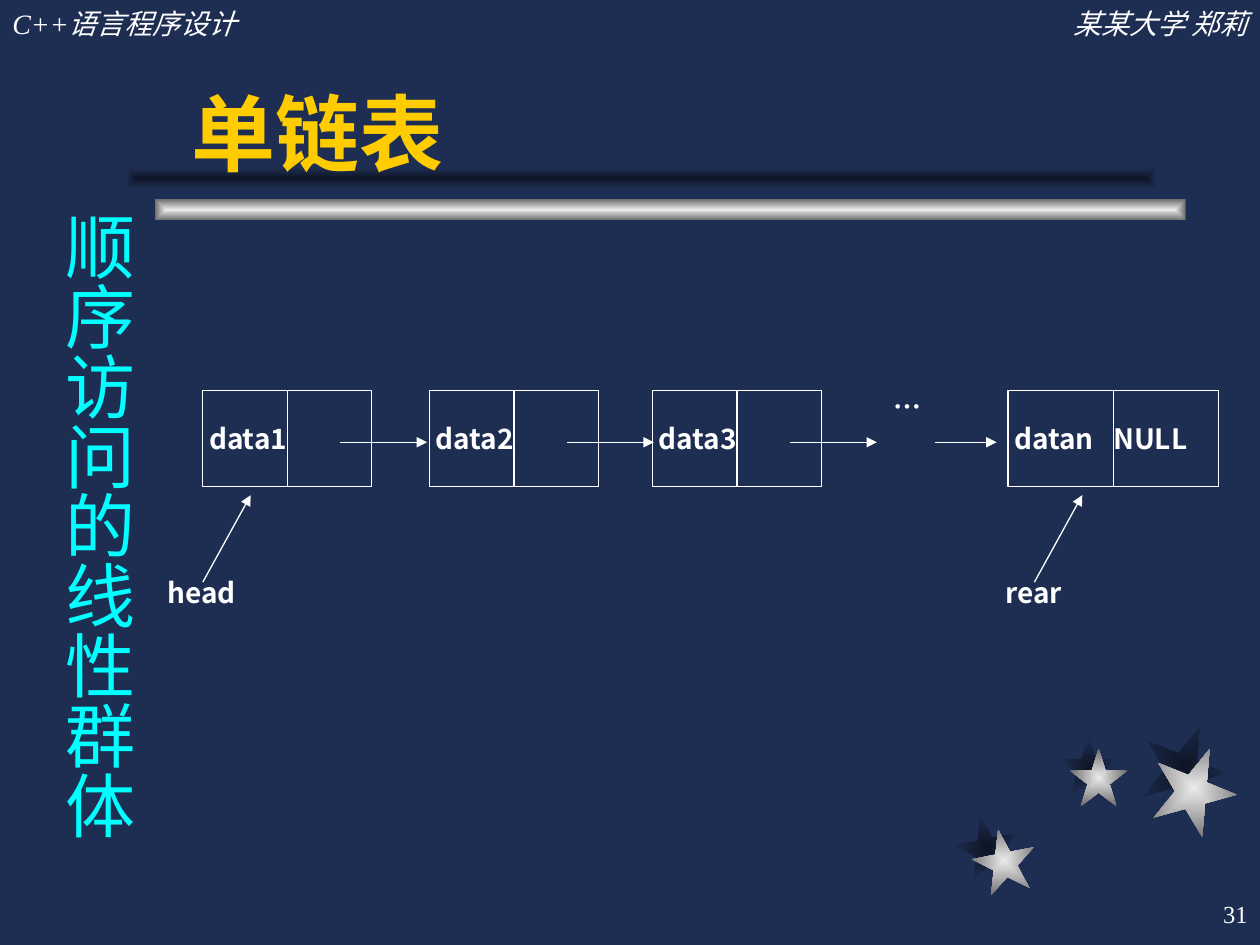
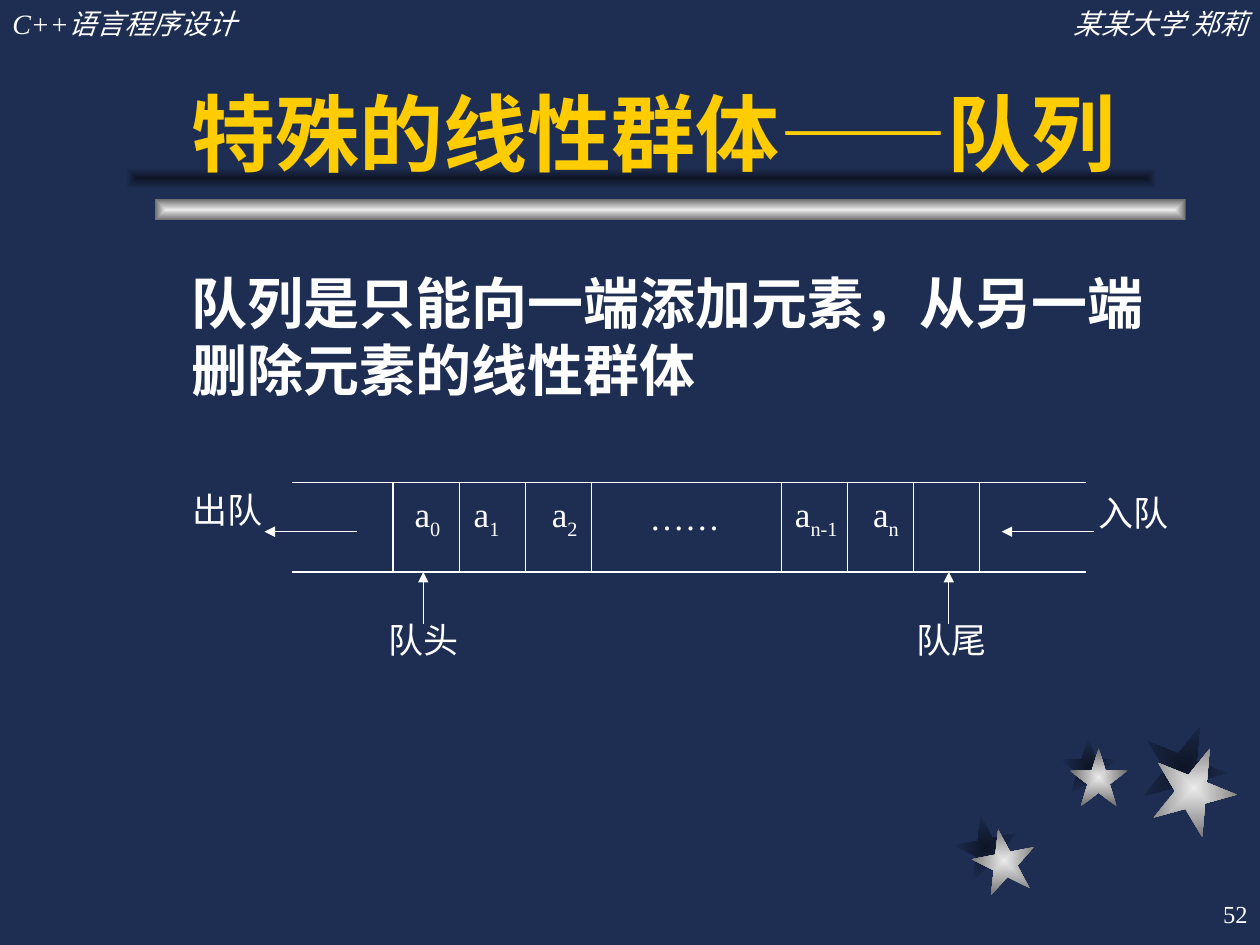
from lxml import etree
from pptx import Presentation
from pptx.dml.color import RGBColor
from pptx.enum.shapes import MSO_CONNECTOR, MSO_SHAPE
from pptx.enum.text import MSO_ANCHOR as ANCHOR, PP_ALIGN as ALIGN
from pptx.oxml.ns import qn
from pptx.util import Inches, Pt

NAVY, SHADE, SILVER, GREY = "1E2E53", "0E1526", "EAEAEA", "6C6C6C"
WHITE, GOLD, CYAN = "FFFFFF", "FFCC00", "00FFFF"
SERIF, SANS, CJK = "Times New Roman", "Arial", "Noto Sans CJK SC"
TITLE_LAYOUT = 5
INSETS = (0.1, 0.05, 0.1, 0.05)
NO_INSETS = (0, 0, 0, 0)

BOLD_LABEL = dict(size=16, font=CJK, bold=True)


def rgb(value):
    return RGBColor.from_string(value)


def add_run(p, text, size=20, font=SERIF, color=WHITE, bold=False,
            italic=False, baseline=0):
    r = p.add_run()
    r.text = text
    r.font.size, r.font.name = Pt(size), font
    r.font.bold, r.font.italic = bold, italic
    r.font.color.rgb = rgb(color)
    if baseline:
        r._r.get_or_add_rPr().set("baseline", str(baseline * 1000))


def set_frame(tf, insets=INSETS, anchor=ANCHOR.TOP, align=ALIGN.LEFT):
    """Lay out a text frame and return its first paragraph."""
    tf.word_wrap = True
    tf.vertical_anchor = anchor
    tf.margin_left, tf.margin_top, tf.margin_right, tf.margin_bottom = map(Inches, insets)
    p = tf.paragraphs[0]
    p.alignment = align
    return p


def add_text(s, box, text, insets=INSETS, anchor=ANCHOR.TOP, align=ALIGN.LEFT, **style):
    tb = s.shapes.add_textbox(*map(Inches, box))
    add_run(set_frame(tb.text_frame, insets, anchor, align), text, **style)
    return tb


def add_line(s, x1, y1, x2, y2, arrow=False):
    line = s.shapes.add_connector(MSO_CONNECTOR.STRAIGHT, *map(Inches, (x1, y1, x2, y2)))
    line.line.color.rgb = rgb(WHITE)
    line.line.width = Pt(0.75)
    if arrow:
        etree.SubElement(line.line._get_or_add_ln(), qn("a:tailEnd"), type="triangle")
    etree.SubElement(line._element.spPr, qn("a:effectLst"))


def add_glow_shape(s, kind, box, center, edge, rotation=0):
    """Add a shape whose fill runs from its center to its edge."""
    sp = s.shapes.add_shape(kind, *map(Inches, box))
    sp.shadow.inherit = False
    sp.rotation = rotation
    sp.line.fill.background()
    sp.fill.gradient()
    for stop, color in zip(sp.fill.gradient_stops, (center, edge)):
        stop.color.rgb = rgb(color)
    grad = sp._element.spPr.find(qn("a:gradFill"))
    grad.remove(grad.find(qn("a:lin")))
    path = etree.SubElement(grad, qn("a:path"), path="rect")
    etree.SubElement(path, qn("a:fillToRect"), dict.fromkeys("ltrb", "50000"))


def add_stars(s, left, top):
    # size, rotation, offset of the shadow, offset of the star
    stars = [(0.5, 349, (0, 0.72), (0.14, 0.83)),
             (0.46, 0, (0.83, 0.1), (0.91, 0.19)),
             (0.67, 22, (1.48, 0), (1.56, 0.17))]
    for layer, colors in ((2, (SHADE, NAVY)), (3, (SILVER, GREY))):
        for star in stars:
            size, rotation, (dx, dy) = star[0], star[1], star[layer]
            add_glow_shape(s, MSO_SHAPE.STAR_5_POINT, (left + dx, top + dy, size, size),
                           *colors, rotation)


def add_title_bars(s, left, top, width=8.18, height=0.17):
    add_glow_shape(s, MSO_SHAPE.RECTANGLE, (left + 0.23, top + 0.25, width, height),
                   SILVER, GREY)
    add_glow_shape(s, MSO_SHAPE.RECTANGLE, (left, top, width, height), SHADE, NAVY)


def add_base_slide(prs, title, number):
    s = prs.slides.add_slide(prs.slide_layouts[TITLE_LAYOUT])
    s.background.fill.solid()
    s.background.fill.fore_color.rgb = rgb(NAVY)
    add_stars(s, 7.58, 5.75)
    add_title_bars(s, 1, 1.33)
    add_text(s, (0, 0, 3.08, 0.37), "C++语言程序设计", size=16, italic=True)
    add_text(s, (6.92, 0, 3.08, 0.37), "某某大学 郑莉", align=ALIGN.RIGHT,
             size=16, italic=True)
    add_text(s, (7.92, 7, 2.08, 0.5), str(number), anchor=ANCHOR.MIDDLE,
             align=ALIGN.RIGHT, size=14)

    head = s.shapes.title
    head.left, head.top, head.width, head.height = map(Inches, (1.42, 0.25, 7.83, 1.25))
    p = set_frame(head.text_frame, anchor=ANCHOR.BOTTOM)
    add_run(p, title, size=48, font=SANS, color=GOLD, bold=True)
    head.element.getparent().append(head.element)  # in front of the bars
    return s


def add_node(s, left, top, width, height, data, link=None):
    """Add a list node: a data half and a link half."""
    node = s.shapes.add_shape(MSO_SHAPE.RECTANGLE,
                              *map(Inches, (left, top, width, height)))
    node.shadow.inherit = False
    node.fill.background()
    node.line.color.rgb = rgb(WHITE)
    node.line.width = Pt(0.75)
    insets = (0.05, 0, 0, 0)
    add_run(set_frame(node.text_frame, insets, ANCHOR.MIDDLE), data, **BOLD_LABEL)
    middle = left + width / 2
    add_line(s, middle, top, middle, top + height)
    if link:
        add_text(s, (middle, top, width / 2, height), link, NO_INSETS,
                 ANCHOR.MIDDLE, **BOLD_LABEL)


def add_linked_list(s, left, top):
    height = 0.76
    link_y = top + 0.41
    for i, dx in enumerate((0, 1.8, 3.57), 1):
        add_node(s, left + dx, top, 1.34, height, f"data{i}")
        add_line(s, left + dx + 1.09, link_y, left + dx + 1.78, link_y, arrow=True)
    add_node(s, left + 6.39, top, 1.67, height, "datan", "NULL")
    add_text(s, (left + 5.22, top - 0.06, 0.74, 0.82), "…", align=ALIGN.CENTER,
             **BOLD_LABEL)
    add_line(s, left + 5.81, link_y, left + 6.3, link_y, arrow=True)
    for name, text_dx, arrow_dx in (("head", -0.28, 0), ("rear", 6.37, 6.6)):
        add_text(s, (left + text_dx, top + 1.47, 0.88, 0.6), name, NO_INSETS,
                 **BOLD_LABEL)
        add_line(s, left + arrow_dx, top + 1.52, left + arrow_dx + 0.38, top + 0.83,
                 arrow=True)


def add_side_heading(s, box, text):
    tb = add_text(s, box, text, (0.05, 0.1, 0.05, 0.1), size=40, font=CJK, color=CYAN)
    tb.text_frame._txBody.bodyPr.set("vert", "eaVert")


def add_queue(s, left, top):
    length, height, cell = 6.3, 0.71, 0.525
    bottom = top + height
    for y in (top, bottom):
        add_line(s, left, y, left + length, y)
    for first in (0.8, 3.88):
        for i in range(4):
            x = left + first + i * cell
            add_line(s, x, top, x, bottom)

    for index, dx in (("0", 0.97), ("1", 1.44), ("2", 2.06), ("n-1", 3.99), ("n", 4.61)):
        tb = add_text(s, (left + dx, top + 0.08, 0.5, 0.5), "a", NO_INSETS)
        add_run(tb.text_frame.paragraphs[0], index, baseline=-25)

    for text, dx, dy in (("……", 2.61, 0.05), ("队头", 0.54, 1.03), ("队尾", 4.73, 1.03),
                         ("入队", 6.17, 0.02), ("出队", -1.02, 0)):
        add_text(s, (left + dx, top + dy, 1.01, 0.64), text, align=ALIGN.CENTER)

    for dx in (1.04, 5.21):
        add_line(s, left + dx, bottom + 0.41, left + dx, bottom, arrow=True)
    for dx in (0.51, 6.36):
        add_line(s, left + dx, top + 0.39, left + dx - 0.73, top + 0.39, arrow=True)


def build_list_slide(prs):
    s = add_base_slide(prs, "单链表", 31)
    add_linked_list(s, 1.61, 3.1)
    add_side_heading(s, (0.3, 1.58, 0.86, 5.24), "顺序访问的线性群体")


def build_queue_slide(prs):
    s = add_base_slide(prs, "特殊的线性群体——队列", 52)
    add_text(s, (1.42, 2.08, 7.92, 1.58),
             "队列是只能向一端添加元素，从另一端删除元素的线性群体", size=32, bold=True)
    add_queue(s, 2.32, 3.83)


def main():
    prs = Presentation()
    prs.slide_width, prs.slide_height = Inches(10), Inches(7.5)
    build_list_slide(prs)
    build_queue_slide(prs)
    prs.save("out.pptx")


if __name__ == "__main__":
    main()
